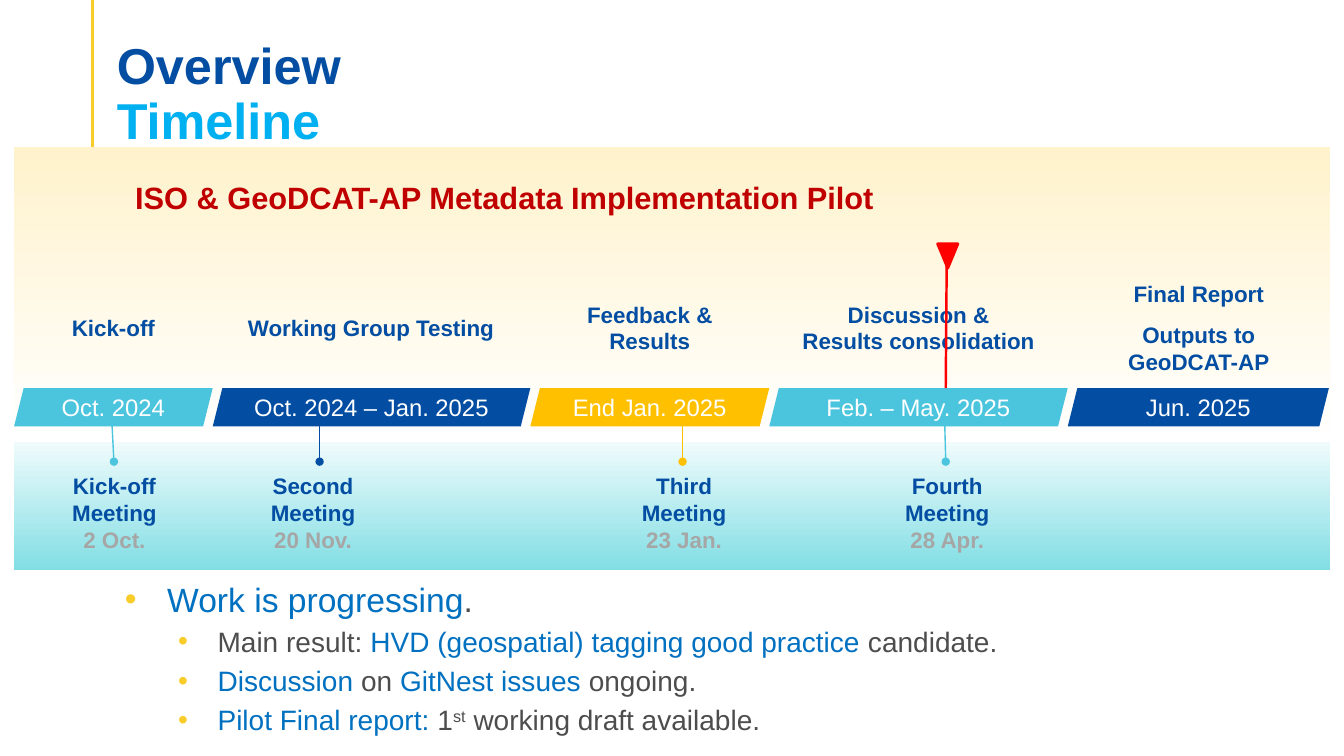
from dataclasses import dataclass

from lxml import etree
from pptx import Presentation
from pptx.dml.color import RGBColor
from pptx.enum.shapes import MSO_CONNECTOR, MSO_SHAPE
from pptx.enum.text import MSO_ANCHOR, PP_ALIGN
from pptx.oxml.ns import qn
from pptx.util import Pt

PX = 9144  # 100 px to the inch
RECT, SLANT = MSO_SHAPE.RECTANGLE, MSO_SHAPE.PARALLELOGRAM
WEDGE = MSO_SHAPE.ISOSCELES_TRIANGLE
STRAIGHT = MSO_CONNECTOR.STRAIGHT
TOP, MID, BASE = MSO_ANCHOR.TOP, MSO_ANCHOR.MIDDLE, MSO_ANCHOR.BOTTOM
LEFT, CENTER = PP_ALIGN.LEFT, PP_ALIGN.CENTER


@dataclass(frozen=True)
class Theme:
    font: str = "Arial"
    navy: str = "034EA2"
    sky: str = "00B0F0"
    blue: str = "0070C0"
    aqua: str = "4BC5DE"
    teal: str = "81DEE4"
    gold: str = "FFC000"
    cream: str = "FFF2CC"
    rule: str = "F8CC29"
    red: str = "FF0000"
    wine: str = "C00000"
    dark: str = "4D4D4D"
    gray: str = "A6A6A6"
    white: str = "FFFFFF"
    title: int = 36
    point: int = 24
    head: int = 22
    sub: int = 20
    bar: int = 17
    label: int = 16


class Deck:
    def __init__(self, theme, wide, high):
        self.theme = theme
        self.prs = Presentation()
        self.prs.slide_width, self.prs.slide_height = wide * PX, high * PX
        self.slide = self.prs.slides.add_slide(self.prs.slide_layouts[6])

    def rgb(self, name):
        return RGBColor.from_string(getattr(self.theme, name))

    def shape(self, kind, box, fill, fade=None):
        item = self.slide.shapes.add_shape(kind, *(v * PX for v in box))
        item.shadow.inherit = False
        item.line.fill.background()
        if fade:
            item.fill.gradient()
            item.fill.gradient_angle = 270
            for stop, color, at in zip(item.fill.gradient_stops, (fill, fade), (0, 1)):
                stop.color.rgb, stop.position = self.rgb(color), at
        else:
            item.fill.solid()
            item.fill.fore_color.rgb = self.rgb(fill)
        return item

    def line(self, start, end, color, width, dot=False):
        item = self.slide.shapes.add_connector(
            STRAIGHT, *(v * PX for v in start + end))
        item.line.width = Pt(width)
        item.line.color.rgb = self.rgb(color)
        props = item._element.spPr
        if dot:
            etree.SubElement(props.find(qn("a:ln")), qn("a:tailEnd"), type="oval")
        etree.SubElement(props, qn("a:effectLst"))

    def run(self, para, text, color, size, bold=False, lift=0):
        run = para.add_run()
        run.text = text
        font = run.font
        font.name, font.size, font.bold = self.theme.font, Pt(size), bold
        font.color.rgb = self.rgb(color)
        if lift:
            font._element.set("baseline", str(lift * 1000))

    def frame(self, item, anchor=MID, pads=(10, 5, 10, 5)):
        frame = item.text_frame
        frame.word_wrap, frame.vertical_anchor = True, anchor
        (frame.margin_left, frame.margin_top,
         frame.margin_right, frame.margin_bottom) = (v * PX for v in pads)
        return frame

    def box(self, box, anchor=MID, pads=(10, 5, 10, 5)):
        item = self.slide.shapes.add_textbox(*(v * PX for v in box))
        return self.frame(item, anchor, pads)

    def fill(self, frame, rows, size, bold=False, align=CENTER, gap=0):
        """Write one paragraph for each (text, color) row."""
        for i, (text, color) in enumerate(rows):
            para = frame.add_paragraph() if i else frame.paragraphs[0]
            para.alignment = align
            if i and gap:
                para.space_before = Pt(gap)
            self.run(para, text, color, size, bold)

    def bullet(self, para, runs, size, left, hang):
        props = para._p.get_or_add_pPr()
        props.set("marL", str(left * PX))
        props.set("indent", str(-hang * PX))
        tint = etree.SubElement(props, qn("a:buClr"))
        etree.SubElement(tint, qn("a:srgbClr"), val=self.theme.rule)
        etree.SubElement(props, qn("a:buFont"), typeface=self.theme.font)
        etree.SubElement(props, qn("a:buChar"), char="•")
        para.space_after = Pt(2)
        for text, color, *lift in runs:
            self.run(para, text, color, size, False, *lift)


def main():
    look = Theme()
    deck = Deck(look, 1333, 750)

    # Title
    deck.line((92, 0), (92, 149), "rule", 2.25)
    para = deck.box((106, 40, 1122, 109), BASE, (10, 5, 10, 0)).paragraphs[0]
    para.line_spacing = 0.9
    deck.run(para, "Overview", "navy", look.title, True)
    para.add_line_break()
    deck.run(para, "Timeline", "sky", look.title, True)

    # Background bands
    left, width = 14, 1305
    deck.shape(RECT, (left, 422, width, 144), "white", "teal")
    band = deck.shape(RECT, (left, 146, width, 293), "cream", "white")
    deck.fill(deck.frame(band, TOP, (120, 31, 20, 10)),
              [("ISO & GeoDCAT-AP Metadata Implementation Pilot", "wine")],
              look.head, True, LEFT)

    # Meetings: line start, line end, label centre, colour, name, date
    meets = [
        (111, 113, 113, "aqua", "Kick-off Meeting", "2 Oct."),
        (317, 317, 310, "navy", "Second Meeting", "20 Nov."),
        (677, 677, 678, "gold", "Third Meeting", "23 Jan."),
        (937, 938, 939, "aqua", "Fourth Meeting", "28 Apr."),
    ]
    for start, end, mid, color, name, date in meets:
        deck.line((start, 419), (end, 458), color, 1, True)
        deck.fill(deck.box((mid - 76, 463, 153, 91)),
                  [(name, "navy"), (date, "gray")], look.label, True)

    # Periods: left edge, colour, date
    spans = [
        (14, "aqua", "Oct. 2024"),
        (211, "navy", "Oct. 2024 – Jan. 2025"),
        (526, "gold", "End Jan. 2025"),
        (763, "aqua", "Feb. – May. 2025"),
        (1059, "navy", "Jun. 2025"),
    ]
    ends = [span[0] for span in spans[1:]] + [1318]
    for (x, color, date), end in zip(spans, ends):
        bar = deck.shape(SLANT, (x, 385, end - x, 38), color)
        deck.fill(deck.frame(bar), [(date, "white")], look.bar)

    # Stage labels: box, lines, gap
    stages = [
        ((29, 306, 167, 38), ["Kick-off"], 0),
        ((202, 306, 332, 38), ["Working Group Testing"], 0),
        ((526, 293, 237, 64), ["Feedback &", "Results"], 0),
        ((785, 293, 252, 64), ["Discussion &", "Results consolidation"], 0),
        ((1077, 273, 224, 104), ["Final Report", "Outputs to GeoDCAT-AP"], 9.6),
    ]
    for box, rows, gap in stages:
        deck.fill(deck.box(box), [(row, "navy") for row in rows],
                  look.label, True, gap=gap)

    # Current date marker
    deck.line((939, 258), (938, 385), "red", 1.75)
    flag = deck.shape(WEDGE, (930, 242, 20, 24), "red")
    flag.rotation = 180
    flag.line.color.rgb = deck.rgb("red")
    flag.line.width = Pt(2)

    # Progress notes
    frame = deck.box((106, 569, 1183, 175), TOP)
    deck.bullet(frame.paragraphs[0],
                [("Work is progressing", "blue"), (".", "dark")], look.point, 50, 42)
    notes = [
        [("Main result: ", "dark"),
         ("HVD (geospatial) tagging good practice", "blue"),
         (" candidate.", "dark")],
        [("Discussion", "blue"), (" on ", "dark"),
         ("GitNest issues ", "blue"), ("ongoing.", "dark")],
        [("Pilot Final report: ", "blue"), ("1", "dark"), ("st", "dark", 30),
         (" working draft available.", "dark")],
    ]
    for runs in notes:
        para = frame.add_paragraph()
        para.level = 1
        deck.bullet(para, runs, look.sub, 100, 39)
        para.space_before = Pt(2)

    deck.prs.save("out.pptx")


if __name__ == "__main__":
    main()
